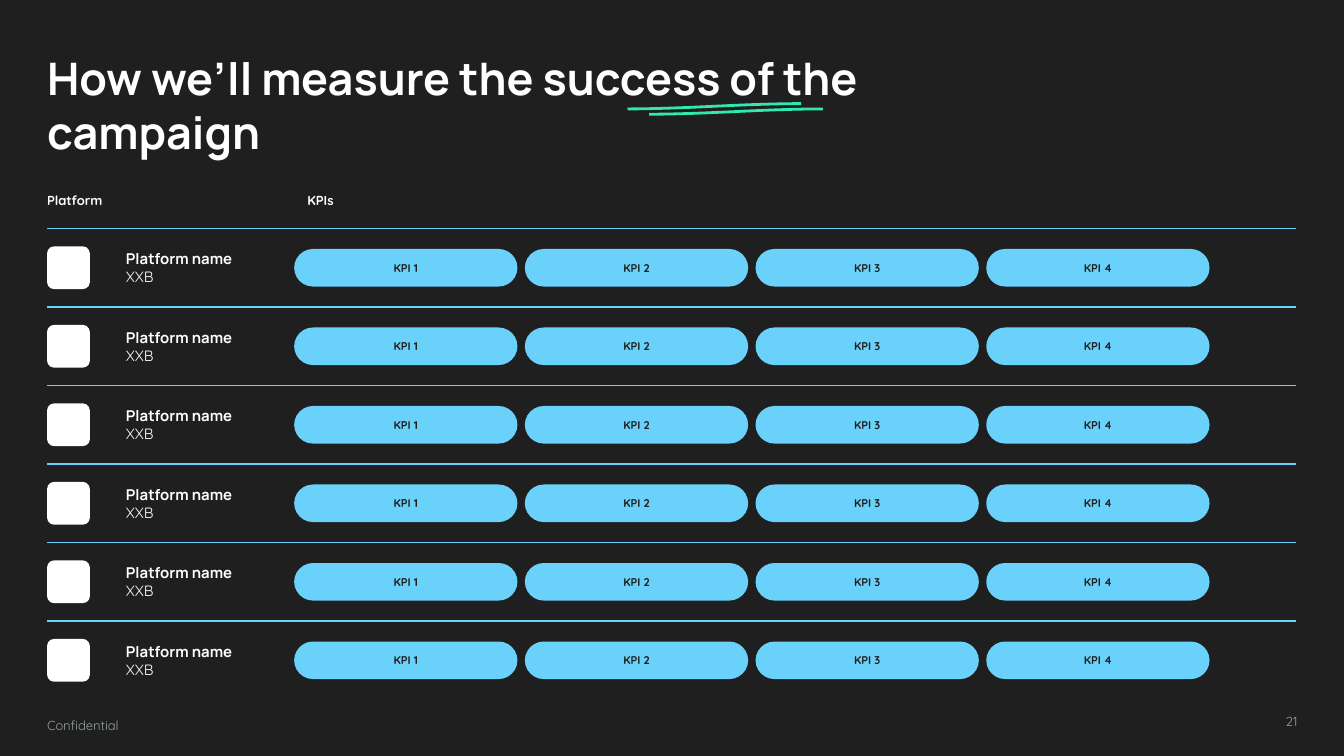
import pptx
import pptx.dml.color
import pptx.enum.shapes
import pptx.enum.text
import pptx.oxml
import pptx.oxml.ns
import pptx.util

Cm = pptx.util.Cm
Pt = pptx.util.Pt
RGBColor = pptx.dml.color.RGBColor
MSO_ANCHOR = pptx.enum.text.MSO_ANCHOR
PP_ALIGN = pptx.enum.text.PP_ALIGN
MSO_SHAPE = pptx.enum.shapes.MSO_SHAPE

DARK = RGBColor(0x1F, 0x1F, 0x1F)
WHITE = RGBColor(0xFF, 0xFF, 0xFF)
BLUE = RGBColor(0x6A, 0xD1, 0xFA)
GREEN = RGBColor(0x30, 0xE8, 0xB0)
GREY = RGBColor(0x93, 0xA2, 0xA2)
HEADING_FONT = "Manrope"
BODY_FONT = "Quicksand"

# Lengths in centimetres
LEFT, RIGHT = 0.89, 24.49
ROW_COUNT = 6
FIRST_LINE, LAST_LINE = 4.32, 11.74
ROW_PITCH = (LAST_LINE - FIRST_LINE) / (ROW_COUNT - 1)
TILE = 0.81
LABEL_LEFT, LABEL_W, LABEL_H = 2.13, 3.18, 0.99
KPI_COUNT = 4
KPI_LEFT, KPI_PITCH, KPI_W, KPI_H = 5.56, 4.36, 4.22, 0.71


def set_frame(tf, anchor):
    tf.word_wrap = True
    tf.vertical_anchor = anchor
    tf.margin_left = tf.margin_right = Cm(0.25)
    tf.margin_top = tf.margin_bottom = Cm(0.25)


def set_font(p, size, color, name=BODY_FONT, bold=False):
    p.font.name = name
    p.font.size = Pt(size)
    p.font.bold = bold
    p.font.color.rgb = color


def add_text(slide, x, y, w, h, text, color, bold=False, align=PP_ALIGN.LEFT):
    sp = slide.shapes.add_textbox(Cm(x), Cm(y), Cm(w), Cm(h))
    set_frame(sp.text_frame, MSO_ANCHOR.TOP)
    p = sp.text_frame.paragraphs[0]
    p.text = text
    p.alignment = align
    set_font(p, 7, color, bold=bold)
    return p


def add_rounded(slide, x, y, w, h, fill, radius):
    sp = slide.shapes.add_shape(MSO_SHAPE.ROUNDED_RECTANGLE, Cm(x), Cm(y), Cm(w), Cm(h))
    sp.adjustments[0] = radius
    sp.shadow.inherit = False
    sp.fill.solid()
    sp.fill.fore_color.rgb = fill
    sp.line.fill.background()
    return sp


def add_rule(slide, y):
    line = slide.shapes.add_connector(
        pptx.enum.shapes.MSO_CONNECTOR.STRAIGHT, Cm(LEFT), Cm(y), Cm(RIGHT), Cm(y))
    line.line.color.rgb = BLUE
    line.line.width = Pt(0.75)
    sp_pr = line._element.spPr
    sp_pr.append(sp_pr.makeelement(pptx.oxml.ns.qn("a:effectLst"), {}))


def add_title(slide, text):
    title = slide.shapes.title
    title.left, title.top, title.width, title.height = Cm(0.64), Cm(0.71), Cm(15.85), Cm(2.57)
    tf = title.text_frame
    tf.text = text
    set_frame(tf, MSO_ANCHOR.TOP)
    tf.auto_size = pptx.enum.text.MSO_AUTO_SIZE.NONE
    p = tf.paragraphs[0]
    p.alignment = PP_ALIGN.LEFT
    set_font(p, 24, WHITE, HEADING_FONT, bold=True)


def add_swoosh(slide, x, y, w=3.28, h=0.1, steps=24):
    """Draw an S-shaped underline that rises from its lower left end."""
    points = []
    for i in range(steps + 1):
        t = i / steps
        rise = 3 * t ** 2 - 2 * t ** 3
        points.append((Cm(x + w * t), Cm(y + h * (1 - rise))))
    builder = slide.shapes.build_freeform(*points[0])
    builder.add_line_segments(points[1:], close=False)
    sp = builder.convert_to_shape()
    sp.shadow.inherit = False
    sp.fill.background()
    sp.line.color.rgb = GREEN
    sp.line.width = Pt(1.5)


def add_platform_label(slide, center):
    sp = slide.shapes.add_textbox(
        Cm(LABEL_LEFT), Cm(center - LABEL_H / 2), Cm(LABEL_W), Cm(LABEL_H))
    tf = sp.text_frame
    set_frame(tf, MSO_ANCHOR.MIDDLE)
    tf.text = "Platform name\nXXB"
    name, audience = tf.paragraphs
    set_font(name, 8, WHITE, HEADING_FONT, bold=True)
    set_font(audience, 8, WHITE)


def add_kpi(slide, number, center):
    x = KPI_LEFT + (number - 1) * KPI_PITCH
    sp = add_rounded(slide, x, center - KPI_H / 2, KPI_W, KPI_H, BLUE, 0.5)
    set_frame(sp.text_frame, MSO_ANCHOR.MIDDLE)
    p = sp.text_frame.paragraphs[0]
    p.text = f"KPI {number}"
    p.alignment = PP_ALIGN.CENTER
    set_font(p, 6, DARK, bold=True)


def add_platform_row(slide, top):
    center = top + ROW_PITCH / 2
    add_rule(slide, top)
    add_rounded(slide, LEFT, center - TILE / 2, TILE, TILE, WHITE, 0.167)
    add_platform_label(slide, center)
    for number in range(1, KPI_COUNT + 1):
        add_kpi(slide, number, center)


def main():
    prs = pptx.Presentation()
    prs.slide_width, prs.slide_height = Cm(25.4), Cm(14.29)
    slide = prs.slides.add_slide(prs.slide_layouts[5])
    slide.background.fill.solid()
    slide.background.fill.fore_color.rgb = DARK

    add_title(slide, "How we’ll measure the success of the campaign")
    add_swoosh(slide, 11.86, 1.96)
    add_swoosh(slide, 12.27, 2.06)

    add_text(slide, 0.64, 3.48, 4.83, 0.81, "Platform", WHITE, bold=True)
    add_text(slide, KPI_LEFT, 3.48, 4.83, 0.81, "KPIs", WHITE, bold=True)
    for row in range(ROW_COUNT):
        add_platform_row(slide, FIRST_LINE + row * ROW_PITCH)

    footer = add_text(slide, 0.64, 13.34, 3.1, 0.86, "Confidential", GREY)
    footer.line_spacing = 1.15
    add_text(slide, 18.67, 13.34, 6.1, 0.81, "21", GREY, align=PP_ALIGN.RIGHT)

    prs.save("out.pptx")


if __name__ == "__main__":
    main()
